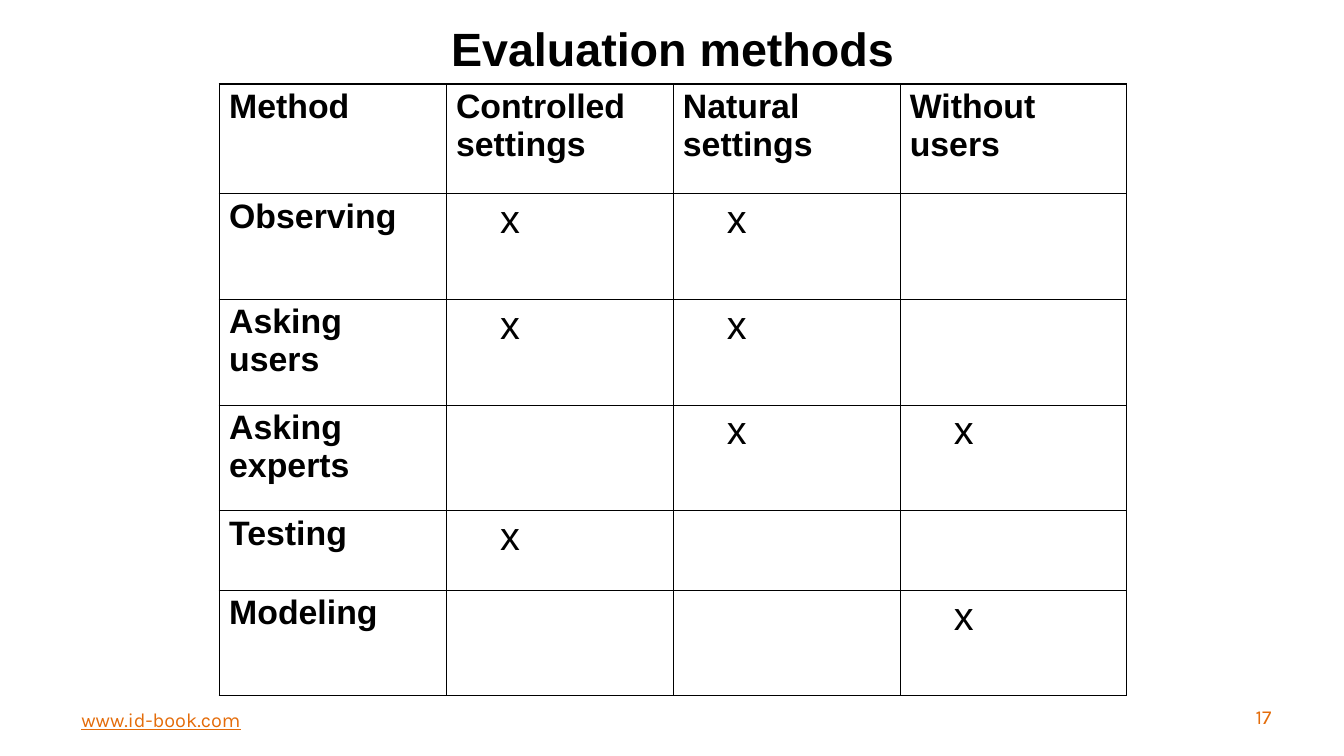
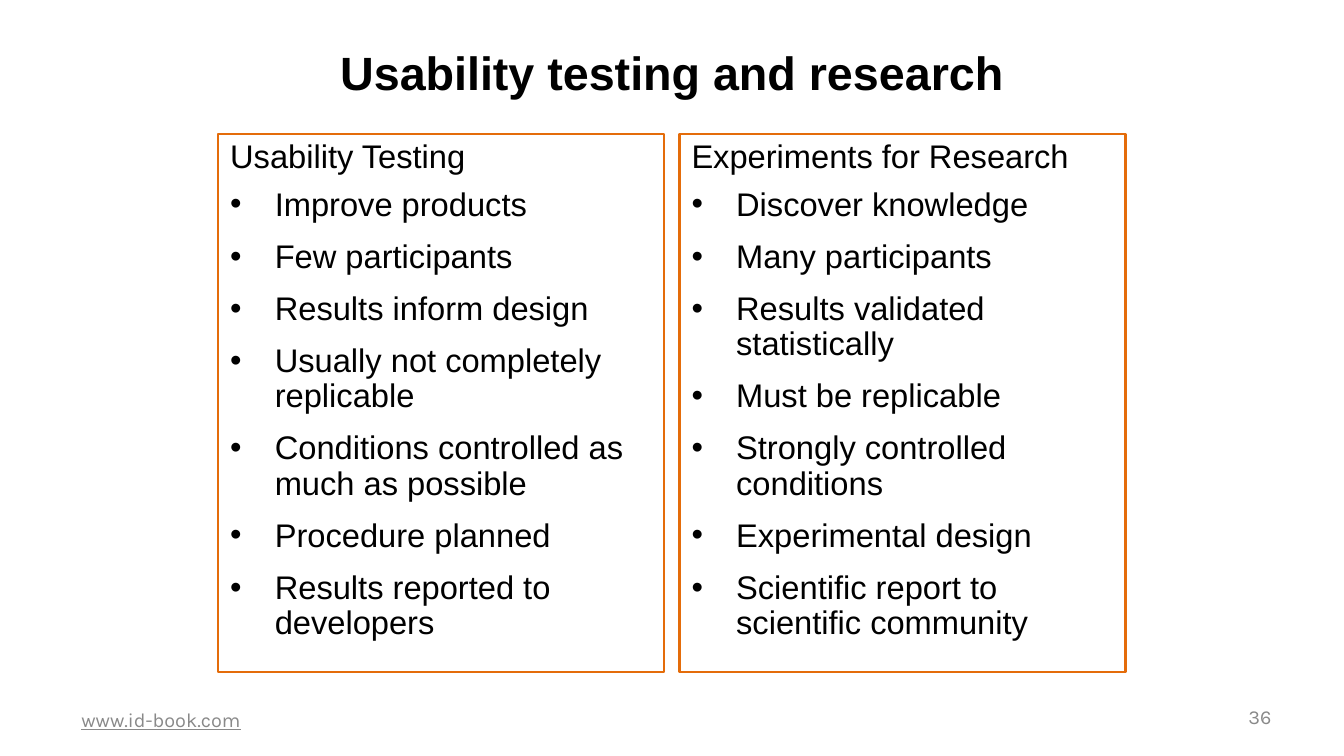
from lxml import etree
from pptx import Presentation
from pptx.dml.color import RGBColor
from pptx.enum.text import MSO_ANCHOR, MSO_AUTO_SIZE, PP_ALIGN
from pptx.oxml.ns import qn
from pptx.util import Cm, Pt

LEFT, MID, RIGHT = PP_ALIGN.LEFT, PP_ALIGN.CENTER, PP_ALIGN.RIGHT
TOP, CENTER = MSO_ANCHOR.TOP, MSO_ANCHOR.MIDDLE
FIXED = MSO_AUTO_SIZE.NONE
TITLE_ONLY, TWO_LISTS = 5, 3

HEX = {"ink": "000000", "accent": "E46C0A", "muted": "898989"}
FONTS = {
    "title": {"name": "Arial", "size": Pt(40), "bold": True},
    "head": {"name": "Arial", "size": Pt(29), "bold": True},
    "mark": {"name": "Arial", "size": Pt(34), "bold": False},
    "list": {"name": "Arial", "size": Pt(28), "bold": False},
    "link": {"name": "Karla", "size": Pt(17), "underline": True},
    "page": {"name": "Karla", "size": Pt(17)},
}
FRAME = {
    "margin_left": Cm(0.36), "margin_right": Cm(0.36),
    "margin_top": Cm(0.18), "margin_bottom": Cm(0.18),
    "word_wrap": True, "auto_size": FIXED,
}
CELL = {
    "margin_left": Cm(0.3), "margin_right": Cm(0.3),
    "margin_top": Cm(0.13), "margin_bottom": Cm(0.13),
    "vertical_anchor": TOP,
}

SITE = "www.id-book.com"
METHODS = {
    "title": "Evaluation methods",
    "box": (6.62, 0.38, 27.43, 2.13),
    "page": "17",
    "tint": "accent",
}
GRID = [
    ("Method", "Controlled settings", "Natural settings", "Without users"),
    ("Observing", "x", "x", ""),
    ("Asking users", "x", "x", ""),
    ("Asking experts", "", "x", "x"),
    ("Testing", "x", "", ""),
    ("Modeling", "", "", "x"),
]
HEIGHTS = [3.3, 3.2, 3.2, 3.2, 2.4, 3.2]
WIDTH = 6.86

TESTING = {
    "title": "Usability testing and research",
    "box": (6.6, 0.51, 27.43, 3.3),
    "page": "36",
    "tint": "muted",
}
LISTS = [
    ("Usability Testing", [
        "Improve products",
        "Few participants",
        "Results inform design",
        "Usually not completely replicable",
        "Conditions controlled as much as possible",
        "Procedure planned",
        "Results reported to developers",
    ]),
    ("Experiments for Research", [
        "Discover knowledge",
        "Many participants",
        "Results validated statistically",
        "Must be replicable",
        "Strongly controlled conditions",
        "Experimental design",
        "Scientific report to scientific community",
    ]),
]


def apply(target, values):
    for name, value in values.items():
        setattr(target, name, value)


def write(para, text, style, tint="ink", align=LEFT):
    para.alignment = align
    run = para.add_run()
    run.text = text
    apply(run.font, FONTS[style])
    run.font.color.rgb = RGBColor.from_string(HEX[tint])


def place(shape, box, anchor):
    names = ("left", "top", "width", "height")
    apply(shape, dict(zip(names, map(Cm, box))))
    apply(shape.text_frame, FRAME)
    shape.text_frame.vertical_anchor = anchor
    return shape.text_frame.paragraphs[0]


def start(deck, layout, info):
    slide = deck.slides.add_slide(deck.slide_layouts[layout])
    para = place(slide.shapes.title, info["box"], CENTER)
    write(para, info["title"], "title", align=MID)
    feet = [
        (SITE, "link", LEFT, (2.1, 21.16, 12.88, 1.22)),
        (info["page"], "page", RIGHT, (36.83, 21.16, 1.98, 1.04)),
    ]
    for text, style, align, box in feet:
        note = slide.shapes.add_textbox(0, 0, 0, 0)
        write(place(note, box, CENTER), text, style, info["tint"], align)
    return slide


def edge(cell, sides):
    props = cell._tc.get_or_add_tcPr()
    for spot, (side, outer) in enumerate(sides.items()):
        line = etree.Element(qn("a:ln" + side), w=str(Pt(1.08 if outer else 0.45)))
        fill = etree.SubElement(line, qn("a:solidFill"))
        etree.SubElement(fill, qn("a:srgbClr"), val=HEX["ink"])
        props.insert(spot, line)


def add_grid(slide):
    rows, cols = len(GRID), len(GRID[0])
    table = slide.shapes.add_table(
        rows, cols, Cm(6.63), Cm(2.54), Cm(WIDTH * cols), Cm(sum(HEIGHTS))
    ).table
    apply(table, {"first_row": False, "horz_banding": False})
    for col in table.columns:
        col.width = Cm(WIDTH)
    for row, height in zip(table.rows, HEIGHTS):
        row.height = Cm(height)
    for y, texts in enumerate(GRID):
        for x, text in enumerate(texts):
            cell = table.cell(y, x)
            apply(cell, CELL)
            cell.fill.background()
            edge(cell, {"L": x == 0, "R": x == cols - 1,
                        "T": y == 0, "B": y == rows - 1})
            if text:
                head = x == 0 or y == 0
                if not head:
                    cell.margin_left = Cm(1.63)
                write(cell.text_frame.paragraphs[0], text, "head" if head else "mark")


def add_item(para, text, gap, bullet):
    props = para._p.get_or_add_pPr()
    props.set("marL", str(Cm(1.35)))
    props.set("indent", str(-Cm(1.35)))
    if bullet:
        tint = etree.SubElement(props, qn("a:buClr"))
        etree.SubElement(tint, qn("a:srgbClr"), val=HEX["ink"])
        etree.SubElement(props, qn("a:buFont"), typeface="Arial")
        etree.SubElement(props, qn("a:buChar"), char="•")
    else:
        etree.SubElement(props, qn("a:buNone"))
    apply(para, {"line_spacing": 0.9, "space_before": Pt(gap), "space_after": Pt(0)})
    write(para, text, "list")


def add_lists(slide):
    for n, (head, items) in enumerate(LISTS):
        body = slide.placeholders[n + 1]
        first = place(body, (6.6 + n * 13.95, 4.06, 13.48, 16.26), TOP)
        body.line.color.rgb = RGBColor.from_string(HEX["accent"])
        body.line.width = Pt(2)
        add_item(first, head, 0, False)
        for k, item in enumerate(items):
            para = body.text_frame.add_paragraph()
            add_item(para, item, 14.4 if k else 10.7, True)


def main():
    deck = Presentation()
    apply(deck, {"slide_width": Cm(40.64), "slide_height": Cm(22.86)})
    add_grid(start(deck, TITLE_ONLY, METHODS))
    add_lists(start(deck, TWO_LISTS, TESTING))
    deck.save("out.pptx")


if __name__ == "__main__":
    main()
